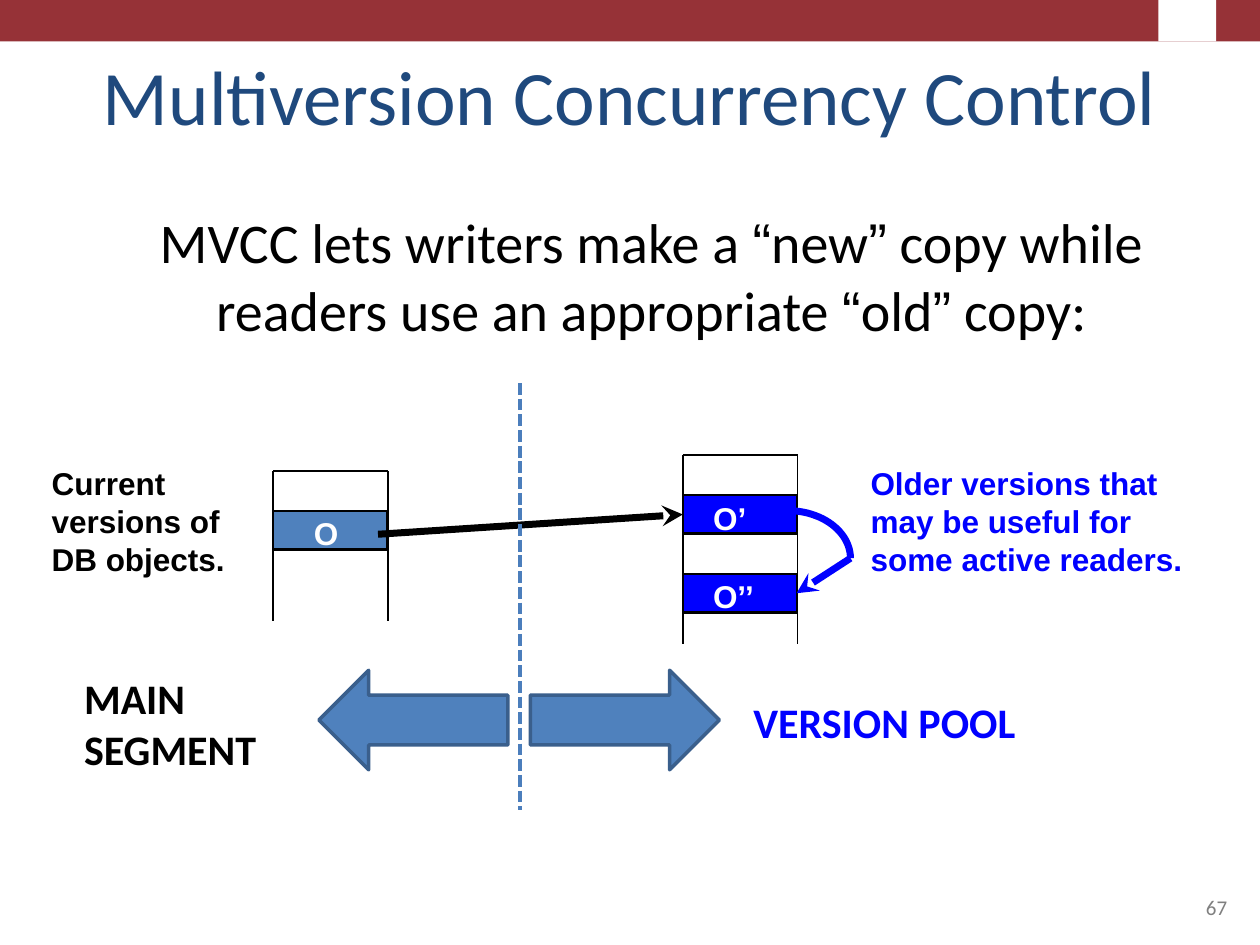
from dataclasses import dataclass
from math import cos, pi, sin

from lxml.etree import SubElement
from pptx import Presentation
from pptx.dml.color import RGBColor
from pptx.enum.dml import MSO_LINE
from pptx.enum.shapes import MSO_CONNECTOR, MSO_SHAPE
from pptx.enum.text import MSO_ANCHOR as Anchor, PP_ALIGN as Align
from pptx.oxml.ns import qn
from pptx.util import Pt

COLORS = {
    "band": "963237", "title": "1F497D", "black": "000000", "white": "FFFFFF",
    "current": "4F81BD", "older": "0000FF", "divider": "4B7EBC",
    "arrow edge": "3A5F8C", "number": "808080",
}
DEFAULT_INSET = (7.2, 3.6)
TIGHT_INSET = (6.5, 3.2)
ROW_HEIGHT = 22.5
STACK_WIDTH = 65.6


@dataclass
class Label:
    lines: list[str]
    left: float
    top: float
    width: float
    height: float
    size: float
    color: str
    font: str = "Arial"
    bold: bool = True
    align: Align = Align.LEFT
    anchor: Anchor = Anchor.TOP
    wrap: bool = False
    inset: tuple[float, float] = TIGHT_INSET


@dataclass
class Stack:
    left: float
    top: float
    bottom: float
    rules: int
    color: str
    label_shift: float
    versions: dict[int, tuple[str, float]]  # row: (name, label width)


def rgb(name: str) -> RGBColor:
    return RGBColor.from_string(COLORS[name])


def style(font, size: float, color: str, name: str, bold: bool = False) -> None:
    font.size, font.name, font.bold = Pt(size), name, bold
    font.color.rgb = rgb(color)


def add_label(slide, label: Label) -> None:
    box = slide.shapes.add_textbox(*map(Pt, (label.left, label.top, label.width, label.height)))
    frame = box.text_frame
    frame.word_wrap, frame.vertical_anchor = label.wrap, label.anchor
    frame.margin_left = frame.margin_right = Pt(label.inset[0])
    frame.margin_top = frame.margin_bottom = Pt(label.inset[1])
    frame.text = "\n".join(label.lines)
    for paragraph in frame.paragraphs:
        paragraph.alignment = label.align
        for run in paragraph.runs:
            style(run.font, label.size, label.color, label.font, label.bold)


def add_block(slide, kind, left: float, top: float, width: float, height: float,
              fill: str, edge: str | None = None, weight: float = 1):
    block = slide.shapes.add_shape(kind, *map(Pt, (left, top, width, height)))
    block.shadow.inherit = False
    block.fill.solid()
    block.fill.fore_color.rgb = rgb(fill)
    if edge:
        block.line.color.rgb = rgb(edge)
        block.line.width = Pt(weight)
    else:
        block.line.fill.background()
    return block


def add_line(slide, x1: float, y1: float, x2: float, y2: float, color: str = "black",
             weight: float = 1, dash=None, arrow: bool = False):
    line = slide.shapes.add_connector(MSO_CONNECTOR.STRAIGHT, *map(Pt, (x1, y1, x2, y2)))
    line.line.color.rgb = rgb(color)
    line.line.width = Pt(weight)
    if dash:
        line.line.dash_style = dash
    properties = line._element.spPr
    if arrow:
        SubElement(properties.find(qn("a:ln")), qn("a:tailEnd"), type="stealth")
    SubElement(properties, qn("a:effectLst"))
    return line


def add_stack(slide, stack: Stack) -> list:
    right = stack.left + STACK_WIDTH
    for x in (stack.left, right):
        add_line(slide, x, stack.top, x, stack.bottom)
    for row in range(stack.rules):
        y = stack.top + row * ROW_HEIGHT
        add_line(slide, stack.left, y, right, y)
    cells = []
    for row, (name, width) in stack.versions.items():
        y = stack.top + row * ROW_HEIGHT + 0.5
        cells.append(add_block(slide, MSO_SHAPE.RECTANGLE, stack.left, y, STACK_WIDTH - 0.6,
                               21.6, stack.color, "black"))
        add_label(slide, Label([name], stack.left + stack.label_shift, y - 1.5, width, 28,
                               18, "white"))
    return cells


def add_quarter_arc(slide, left: float, top: float, width: float, height: float,
                    color: str, weight: float, steps: int = 24) -> None:
    angles = [pi / 2 * step / steps for step in range(steps + 1)]
    points = [(Pt(left + width * sin(a)), Pt(top + height * (1 - cos(a)))) for a in angles]
    builder = slide.shapes.build_freeform(*points[0])
    builder.add_line_segments(points[1:], close=False)
    arc = builder.convert_to_shape()
    arc.shadow.inherit = False
    arc.fill.background()
    arc.line.color.rgb = rgb(color)
    arc.line.width = Pt(weight)


def main() -> None:
    deck = Presentation()
    deck.slide_width, deck.slide_height = Pt(720), Pt(540)
    slide = deck.slides.add_slide(deck.slide_layouts[5])

    # Header band with a plain mark
    add_block(slide, MSO_SHAPE.RECTANGLE, 0, 0, 720, 23.7, "band")
    add_block(slide, MSO_SHAPE.RECTANGLE, 662, 0, 33, 23.7, "white")

    # Title and statement
    title = slide.shapes.title
    title.left, title.top, title.width, title.height = map(Pt, (36, 21.6, 648, 62.6))
    title.text_frame.text = "Multiversion Concurrency Control"
    title.text_frame.vertical_anchor = Anchor.BOTTOM
    heading = title.text_frame.paragraphs[0]
    heading.alignment = Align.CENTER
    style(heading.runs[0].font, 44, "title", "Calibri")

    statement = slide.shapes.add_textbox(*map(Pt, (66.2, 115.2, 612, 113.8))).text_frame
    statement.word_wrap = True
    paragraph = statement.paragraphs[0]
    paragraph.alignment = Align.CENTER
    for piece in ("MVCC lets writers make a ", "“", "new", "”",
                  " copy while readers use an appropriate ", "“", "old", "”", " copy:"):
        run = paragraph.add_run()
        run.text = piece
        style(run.font, 32, "black", "Arial" if piece in "“”" else "Calibri")

    # Object stacks
    current, = add_stack(slide, Stack(156.2, 269.3, 355, 3, "current", 16.6, {1: ("O", 27.4)}))
    older, oldest = add_stack(slide, Stack(390.2, 260.2, 368, 5, "older", 10.8,
                                           {1: ("O’", 36.7), 3: ("O’’", 45.4)}))

    # Links from each version to the one before it
    add_line(slide, 216, 305.3, 390.2, 293, weight=4, arrow=True).end_connect(older, 1)
    add_quarter_arc(slide, 450, 291.8, 36, 27.2, "older", 4)
    add_line(slide, 486, 319, 455.2, 339, "older", 4, arrow=True).end_connect(oldest, 3)

    # Divider and direction arrows
    add_line(slide, 297.4, 218.9, 297.4, 463, "divider", 2.25, MSO_LINE.SQUARE_DOT)
    for left, turn in ((303.1, 0), (182.2, 180)):
        add_block(slide, MSO_SHAPE.RIGHT_ARROW, left, 383, 108, 56.9,
                  "current", "arrow edge", 2).rotation = turn

    # Captions and slide number
    for label in (
        Label(["Current", "versions of", "DB objects."], 23, 262, 113.8, 72, 18, "black"),
        Label(["Older versions that", "may be useful for", "some active readers."],
              491, 262, 198.7, 72, 18, "older"),
        Label(["MAIN", "SEGMENT"], 41, 381, 360, 65.5, 24, "black", "Calibri",
              wrap=True, inset=DEFAULT_INSET),
        Label(["VERSION POOL"], 423.4, 394.6, 165.6, 36, 24, "older", "Calibri",
              inset=DEFAULT_INSET),
        Label(["67"], 516.2, 491.8, 192.2, 37.4, 12, "number", "Calibri", False,
              Align.RIGHT, Anchor.BOTTOM, True, DEFAULT_INSET),
    ):
        add_label(slide, label)

    deck.save("out.pptx")


if __name__ == "__main__":
    main()
